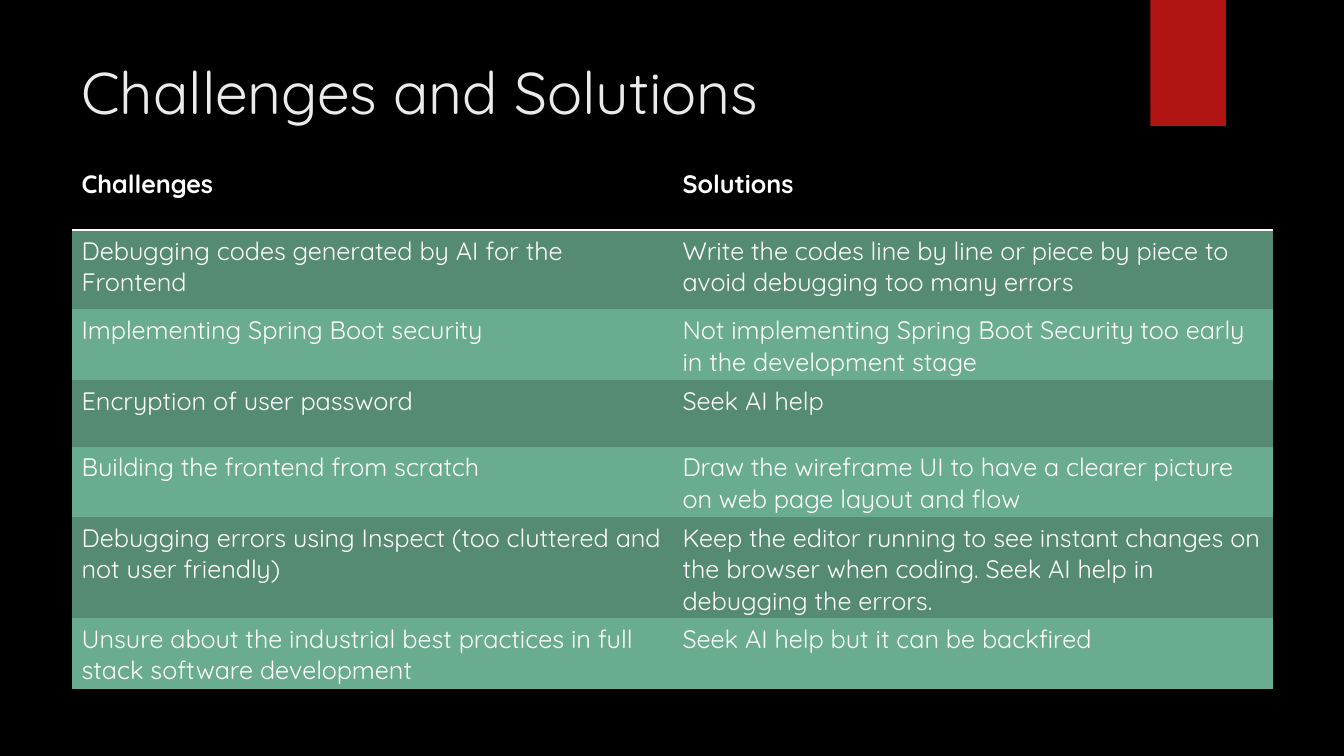
import lxml.etree
import pptx
import pptx.dml.color
import pptx.enum.shapes
import pptx.enum.text
import pptx.oxml
import pptx.oxml.ns
import pptx.util

WIDTH, HEIGHT = 13.33, 7.5
LEFT = 0.71
FONT = "Quicksand"
PLAIN_STYLE = "{2D5ABB26-0587-4C30-8999-92F81FD0307C}"
COLORS = {
    "background": "000000",
    "ribbon": "B01513",
    "title": "EBEBEB",
    "text": "FFFFFF",
    "dark row": "558A73",
    "light row": "6AAC90",
}
COLUMN_WIDTH = 5.96
ROW_HEIGHT = 0.66
FIRST_CHALLENGE_HEIGHT = 0.79
ROWS = [
    ("Challenges", "Solutions"),
    ("Debugging codes generated by AI for the Frontend",
     "Write the codes line by line or piece by piece to avoid debugging too many errors"),
    ("Implementing Spring Boot security",
     "Not implementing Spring Boot Security too early in the development stage"),
    ("Encryption of user password", "Seek AI help"),
    ("Building the frontend from scratch",
     "Draw the wireframe UI to have a clearer picture on web page layout and flow"),
    ("Debugging errors using Inspect (too cluttered and not user friendly)",
     "Keep the editor running to see instant changes on the browser when coding. "
     "Seek AI help in debugging the errors."),
    ("Unsure about the industrial best practices in full stack software development",
     "Seek AI help but it can be backfired"),
]


def inches(*lengths):
    return [pptx.util.Inches(length) for length in lengths]


def paint(fill, color):
    fill.solid()
    fill.fore_color.rgb = pptx.dml.color.RGBColor.from_string(COLORS[color])


def write(frame, text, size, color, bold=False):
    frame.text = text
    for para in frame.paragraphs:
        for span in para.runs:
            span.font.name = FONT
            span.font.size = pptx.util.Pt(size)
            span.font.bold = bold
            span.font.color.rgb = pptx.dml.color.RGBColor.from_string(COLORS[color])


def add_ribbon(page):
    ribbon = page.shapes.add_shape(
        pptx.enum.shapes.MSO_SHAPE.RECTANGLE, *inches(11.41, 0, 0.75, HEIGHT / 6))
    ribbon.shadow.inherit = False
    paint(ribbon.fill, "ribbon")
    ribbon.line.fill.background()


def add_title(page, text):
    box = page.shapes.add_textbox(*inches(LEFT, 0.5, 10.29, 1.53))
    box.text_frame.word_wrap = True
    box.text_frame.vertical_anchor = pptx.enum.text.MSO_ANCHOR.TOP
    write(box.text_frame, text, 42, "title")


def add_bottom_border(cell, color, points):
    properties = cell._tc.get_or_add_tcPr()
    border = pptx.oxml.parse_xml(
        f'<a:lnB {pptx.oxml.ns.nsdecls("a")} w="{pptx.util.Pt(points)}">'
        f'<a:solidFill><a:srgbClr val="{COLORS[color]}"/></a:solidFill></a:lnB>')
    properties.insert(0, border)


def row_color(index):
    if index == 0:
        return "background"
    return "dark row" if index % 2 else "light row"


def add_comparison(page, rows):
    heights = [ROW_HEIGHT] * len(rows)
    heights[1] = FIRST_CHALLENGE_HEIGHT
    frame = page.shapes.add_table(
        len(rows), 2, *inches(LEFT, 1.62, 2 * COLUMN_WIDTH, sum(heights)))
    table = frame.table
    table._tbl.tblPr.find(pptx.oxml.ns.qn("a:tableStyleId")).text = PLAIN_STYLE
    for column in table.columns:
        column.width = pptx.util.Inches(COLUMN_WIDTH)
    for index, (texts, height) in enumerate(zip(rows, heights)):
        table.rows[index].height = pptx.util.Inches(height)
        for cell, text in zip(table.rows[index].cells, texts):
            write(cell.text_frame, text, 18, "text", bold=index == 0)
            paint(cell.fill, row_color(index))
            if index == 0:
                add_bottom_border(cell, "text", 2)


def main():
    deck = pptx.Presentation()
    deck.slide_width, deck.slide_height = inches(WIDTH, HEIGHT)
    page = deck.slides.add_slide(deck.slide_layouts[6])
    paint(page.background.fill, "background")
    add_ribbon(page)
    add_title(page, "Challenges and Solutions")
    add_comparison(page, ROWS)
    deck.save("out.pptx")


if __name__ == "__main__":
    main()
